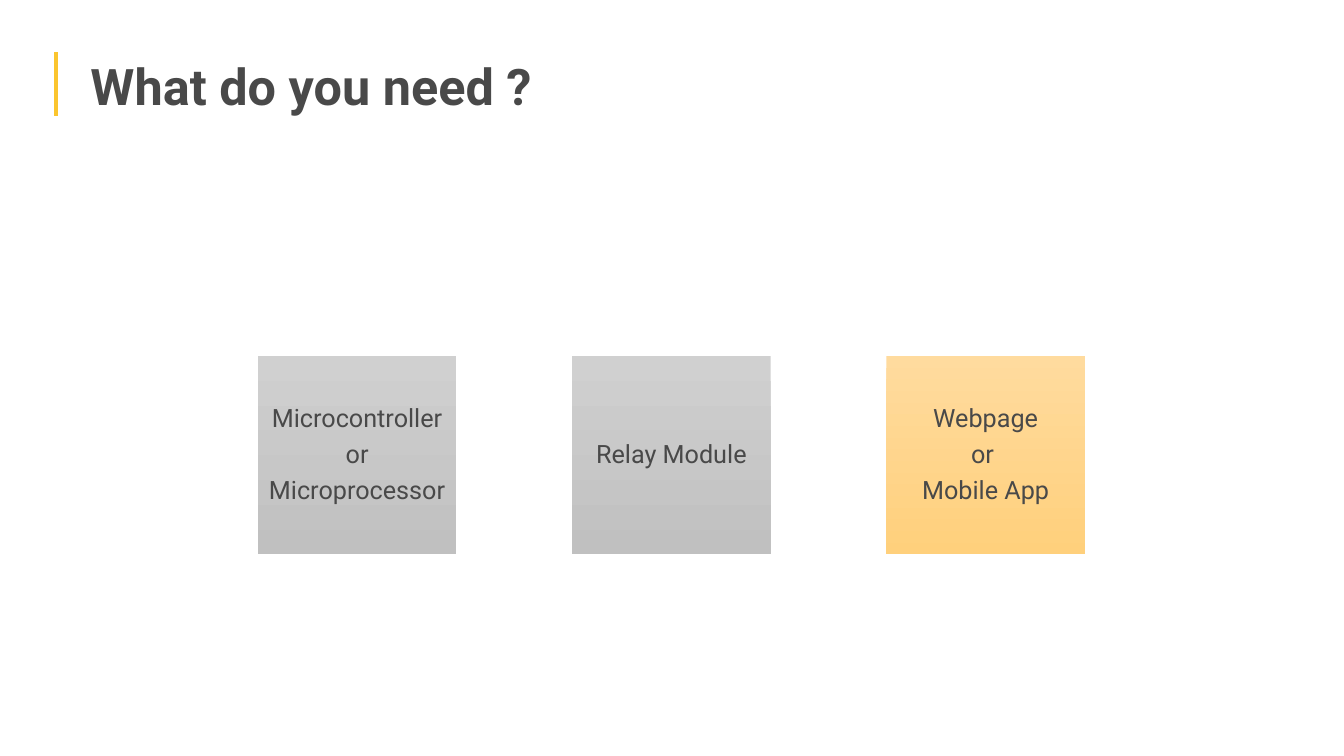
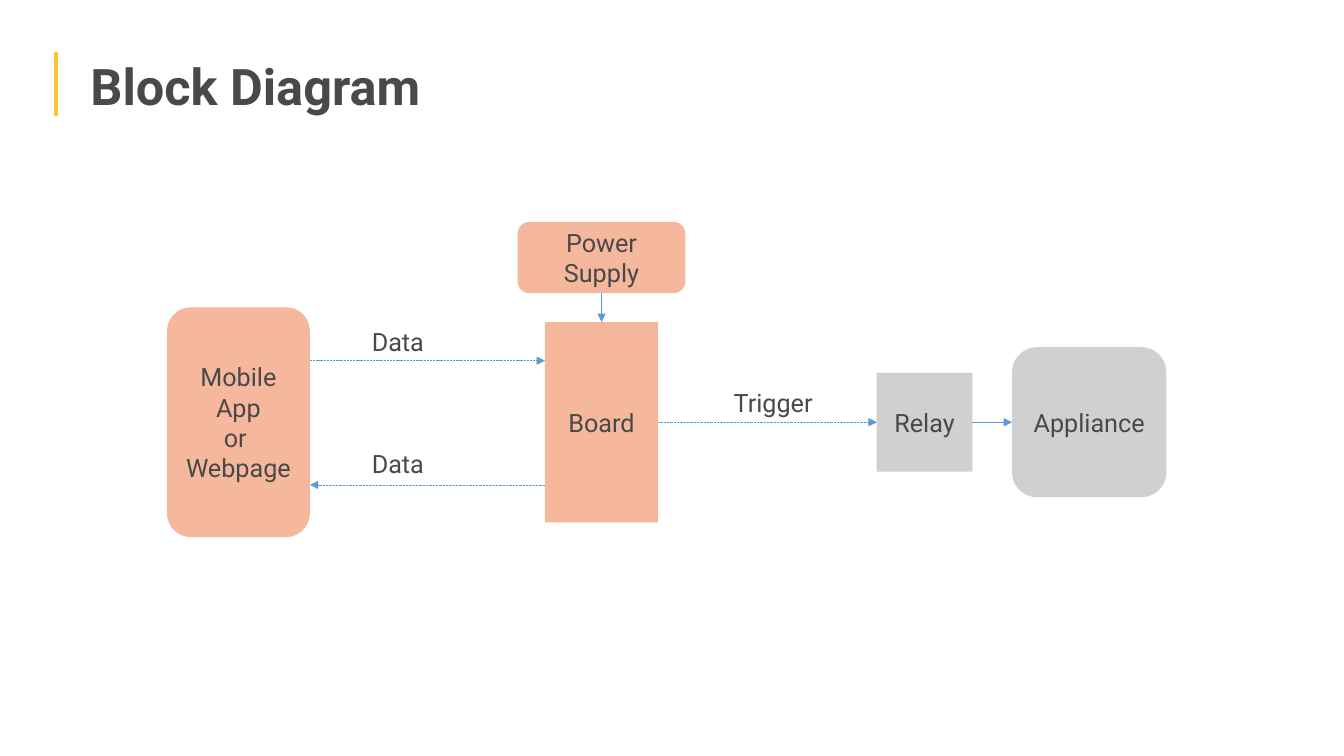
from dataclasses import dataclass

import pptx
import pptx.dml.color
import pptx.enum.dml
import pptx.enum.shapes
import pptx.enum.text
import pptx.oxml.ns
import pptx.util
from lxml import etree

Cm = pptx.util.Cm
Pt = pptx.util.Pt
RECTANGLE = pptx.enum.shapes.MSO_SHAPE.RECTANGLE
ROUNDED = pptx.enum.shapes.MSO_SHAPE.ROUNDED_RECTANGLE
CENTER = pptx.enum.text.PP_ALIGN.CENTER
MIDDLE = pptx.enum.text.MSO_ANCHOR.MIDDLE
DASHED = pptx.enum.dml.MSO_LINE.SQUARE_DOT
DOTTED = pptx.enum.dml.MSO_LINE.ROUND_DOT
TOP, LEFT, BOTTOM, RIGHT = range(4)


@dataclass(frozen=True)
class Theme:
    font: str = "Roboto"
    text: str = "494949"
    accent: str = "FBC52E"
    arrow: str = "5B9BD5"
    salmon: str = "F6B89D"
    gray: str = "D0D0D0"
    gray_fade: tuple = ("D0D0D0", "C0C0C0")
    yellow_fade: tuple = ("FFDB9E", "FFD07C")
    title_size: int = 36
    body_size: int = 18


THEME = Theme()

# Content; all lengths are in centimetres
NEEDS_TITLE = "What do you need ?"
NEEDS = [
    (["Microcontroller", "or", "Microprocessor"], THEME.gray_fade),
    (["Relay Module"], THEME.gray_fade),
    (["Webpage", "or ", "Mobile App"], THEME.yellow_fade),
]
TILE_LEFT, TILE_TOP, TILE_SIZE, TILE_PITCH = 6.5, 8.97, 5, 7.92

DIAGRAM_TITLE = "Block Diagram"
AXIS = 10.64
# name: lines, preset, fill, centre x, centre y, width, height
BLOCKS = {
    "board": (["Board"], RECTANGLE, THEME.salmon, 15.16, AXIS, 2.85, 5.05),
    "relay": (["Relay"], RECTANGLE, THEME.gray, 23.3, AXIS, 2.41, 2.49),
    "power": (["Power Supply"], ROUNDED, THEME.salmon, 15.16, 6.49, 4.23, 1.8),
    "appliance": (["Appliance"], ROUNDED, THEME.gray, 27.45, AXIS, 3.89, 3.78),
    "client": (["Mobile App", "or ", "Webpage"], ROUNDED, THEME.salmon,
               6.01, AXIS, 3.6, 5.79),
}
# from block, side, to block, side, dash
JOINED_ARROWS = [
    ("power", BOTTOM, "board", TOP, None),
    ("relay", RIGHT, "appliance", LEFT, None),
    ("board", RIGHT, "relay", LEFT, DOTTED),
]
DATA_OUT_Y, DATA_BACK_Y = 9.09, 12.22
LABELS = [("Data", 9.12, 8.1), ("Data", 9.12, 11.18), ("Trigger", 18.24, 9.63)]
LABEL_WIDTH, LABEL_HEIGHT = 2.57, 1.02


def color(value):
    return pptx.dml.color.RGBColor.from_string(value)


def write_text(shape, lines, size=THEME.body_size, bold=False, align=None,
               anchor=None, inset=None, line_spacing=None, space_after=None):
    """Fill a shape or text box with one paragraph per line."""
    frame = shape.text_frame
    frame.word_wrap = True
    if anchor is not None:
        frame.vertical_anchor = anchor
    if inset is not None:
        frame.margin_left = frame.margin_right = Cm(inset)
        frame.margin_top = frame.margin_bottom = Cm(inset)
    for index, line in enumerate(lines):
        paragraph = frame.add_paragraph() if index else frame.paragraphs[0]
        paragraph.alignment = align
        paragraph.line_spacing = line_spacing
        paragraph.space_after = space_after
        run = paragraph.add_run()
        run.text = line
        run.font.name = THEME.font
        run.font.size = Pt(size)
        run.font.bold = bold
        run.font.color.rgb = color(THEME.text)


def add_text(slide, lines, left, top, width, height, **text_format):
    box = slide.shapes.add_textbox(Cm(left), Cm(top), Cm(width), Cm(height))
    write_text(box, lines, **text_format)


def add_block(slide, preset, fill, left, top, width, height):
    """Add a borderless shape; a pair of colours gives a downward gradient."""
    shape = slide.shapes.add_shape(preset, Cm(left), Cm(top), Cm(width), Cm(height))
    shape.shadow.inherit = False
    shape.line.fill.background()
    if isinstance(fill, tuple):
        shape.fill.gradient()
        shape.fill.gradient_angle = 270
        for stop, value in zip(shape.fill.gradient_stops, fill):
            stop.color.rgb = color(value)
    else:
        shape.fill.solid()
        shape.fill.fore_color.rgb = color(fill)
    return shape


def add_line(slide, start=(0, 0), end=(0, 0), stroke=THEME.arrow, width=0.5,
             dash=None, arrow=True):
    line = slide.shapes.add_connector(
        pptx.enum.shapes.MSO_CONNECTOR.STRAIGHT, *map(Cm, start + end))
    line.line.color.rgb = color(stroke)
    line.line.width = Pt(width)
    if dash is not None:
        line.line.dash_style = dash
    if arrow:
        outline = line.line._get_or_add_ln()
        etree.SubElement(outline, pptx.oxml.ns.qn("a:tailEnd"), type="triangle")
    etree.SubElement(line._element.spPr, pptx.oxml.ns.qn("a:effectLst"))
    return line


def add_titled_slide(presentation, title):
    slide = presentation.slides.add_slide(presentation.slide_layouts[6])
    add_line(slide, (1.42, 1.32), (1.42, 2.92), stroke=THEME.accent, width=3,
             arrow=False)
    add_text(slide, [title], 2.03, 1.27, 12.27, 1.8,
             size=THEME.title_size, bold=True)
    return slide


def build_needs(presentation):
    slide = add_titled_slide(presentation, NEEDS_TITLE)
    for index, (lines, fade) in enumerate(NEEDS):
        tile = add_block(slide, RECTANGLE, fade, TILE_LEFT + index * TILE_PITCH,
                         TILE_TOP, TILE_SIZE, TILE_SIZE)
        write_text(tile, lines, align=CENTER, anchor=MIDDLE, inset=0.18,
                   line_spacing=0.9, space_after=Pt(6.5))


def build_diagram(presentation):
    slide = add_titled_slide(presentation, DIAGRAM_TITLE)

    # Blocks
    shapes = {}
    for name, (lines, preset, fill, x, y, width, height) in BLOCKS.items():
        shapes[name] = add_block(slide, preset, fill, x - width / 2,
                                 y - height / 2, width, height)
        write_text(shapes[name], lines, align=CENTER, anchor=MIDDLE)

    # Arrows between the middles of sides
    for source, source_side, target, target_side, dash in JOINED_ARROWS:
        arrow = add_line(slide, dash=dash)
        arrow.begin_connect(shapes[source], source_side)
        arrow.end_connect(shapes[target], target_side)

    # Data exchange between client and board
    client, board = shapes["client"], shapes["board"]
    client_edge = (client.left + client.width).cm if hasattr(
        client.left + client.width, "cm") else pptx.util.Emu(client.left + client.width).cm
    board_edge = board.left.cm
    add_line(slide, (client_edge, DATA_OUT_Y), (board_edge, DATA_OUT_Y), dash=DASHED)
    add_line(slide, (board_edge, DATA_BACK_Y), (client_edge, DATA_BACK_Y), dash=DOTTED)

    # Arrow labels
    for label, left, top in LABELS:
        add_text(slide, [label], left, top, LABEL_WIDTH, LABEL_HEIGHT)


def main():
    presentation = pptx.Presentation()
    presentation.slide_width = Cm(33.87)
    presentation.slide_height = Cm(19.05)
    build_needs(presentation)
    build_diagram(presentation)
    presentation.save("out.pptx")


if __name__ == "__main__":
    main()
